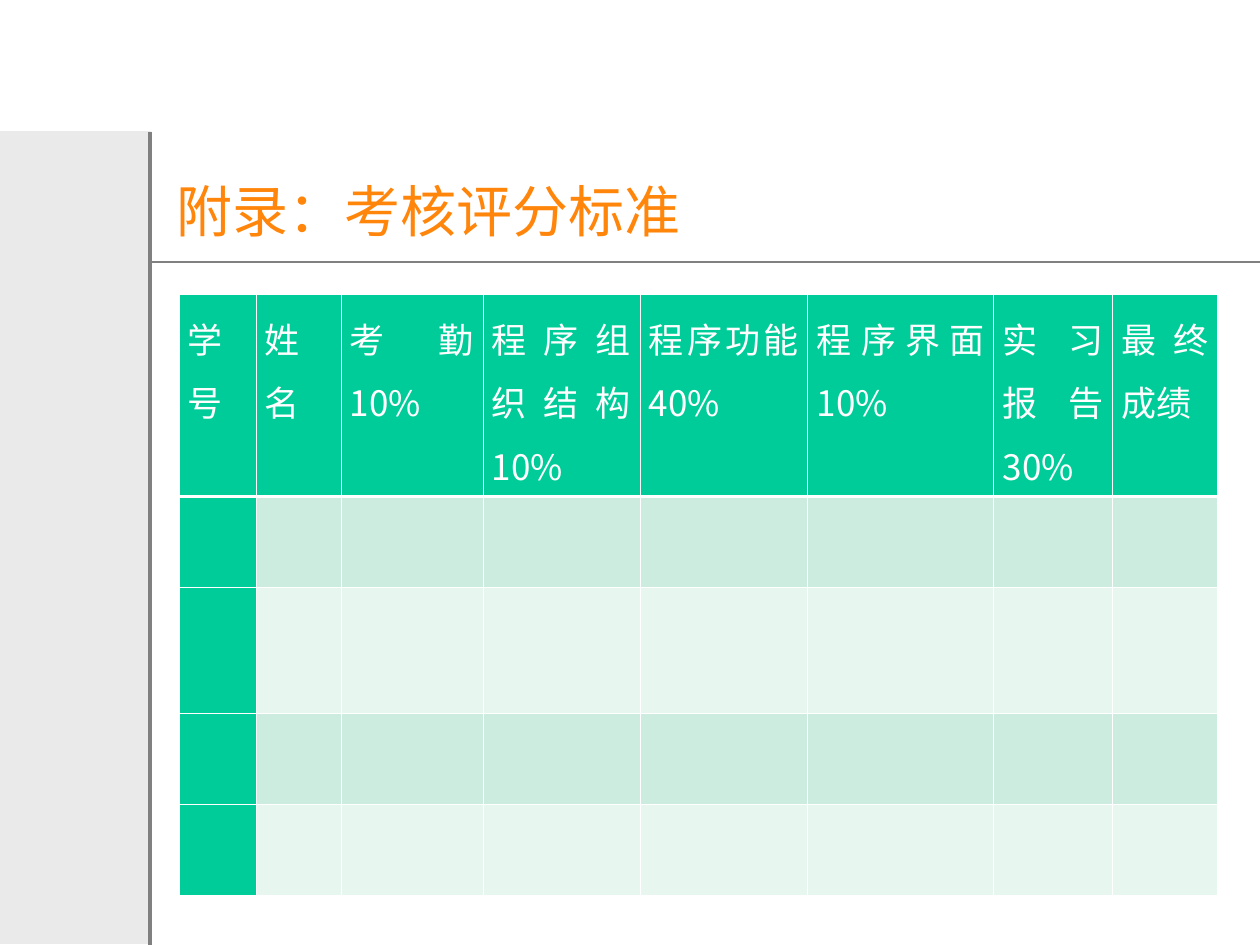
import pptx
import pptx.dml.color
import pptx.enum.shapes
import pptx.enum.text
import pptx.oxml.ns
import pptx.util
from lxml import etree

RGBColor = pptx.dml.color.RGBColor
WHITE = RGBColor(0xFF, 0xFF, 0xFF)
PANEL_GRAY = RGBColor(0xEA, 0xEA, 0xEA)
RULE_GRAY = RGBColor(0x80, 0x80, 0x80)
ORANGE = RGBColor(0xFF, 0x85, 0x0B)
GREEN = RGBColor(0x00, 0xCC, 0x99)
BAND_DARK = RGBColor(0xCB, 0xEC, 0xDE)
BAND_LIGHT = RGBColor(0xE7, 0xF6, 0xEF)

PX_PER_INCH = 126
TITLE_FONT = "Noto Sans CJK KR"
TABLE_FONT = "Noto Sans CJK SC"
HEADINGS = ["学号", "姓名", "考勤10%", "程序组织结构10%", "程序功能40%",
            "程序界面10%", "实习报告30%", "最终成绩"]
COLUMN_WIDTHS = [77, 85, 142, 157, 168, 186, 119, 105]
ROW_HEIGHTS = [181, 91, 126, 91, 91]
THIN, THICK = 0.45, 1.47


def px(length):
    return pptx.util.Emu(round(length * 914400 / PX_PER_INCH))


def add_run(paragraph, text, size, typeface, color):
    run = paragraph.add_run()
    run.text = text
    run.font.size = pptx.util.Pt(size)
    run.font.name = typeface
    run.font.color.rgb = color
    east_asian = etree.SubElement(run.font._element, pptx.oxml.ns.qn("a:ea"))
    east_asian.set("typeface", typeface)


def add_rule(slide, start_x, start_y, end_x, end_y, weight):
    rule = slide.shapes.add_connector(
        pptx.enum.shapes.MSO_CONNECTOR.STRAIGHT,
        px(start_x), px(start_y), px(end_x), px(end_y))
    rule.line.color.rgb = RULE_GRAY
    rule.line.width = pptx.util.Pt(weight)
    etree.SubElement(rule._element.spPr, pptx.oxml.ns.qn("a:effectLst"))


def add_frame(slide, left, top, width, height):
    panel_width, header_height = 150, 130
    panel = slide.shapes.add_shape(
        pptx.enum.shapes.MSO_SHAPE.RECTANGLE,
        px(left), px(top), px(panel_width + 1), px(height))
    panel.shadow.inherit = False
    panel.fill.solid()
    panel.fill.fore_color.rgb = PANEL_GRAY
    panel.line.fill.background()
    edge = left + panel_width
    divider = top + header_height + 1
    add_rule(slide, edge, top + 1, edge, top + height + 1, 2.25)
    add_rule(slide, edge, divider, left + width, divider, 1.5)


def place_title(slide, left, top, width, height):
    title = slide.shapes.title
    title.left, title.top = px(left), px(top)
    title.width, title.height = px(width), px(height)
    title.text_frame.vertical_anchor = pptx.enum.text.MSO_ANCHOR.MIDDLE
    paragraph = title.text_frame.paragraphs[0]
    paragraph.alignment = pptx.enum.text.PP_ALIGN.LEFT
    add_run(paragraph, "附录：考核评分标准", 32, TITLE_FONT, ORANGE)


def set_borders(cell, top_weight, bottom_weight):
    properties = cell._tc.get_or_add_tcPr()
    weights = {"lnL": THIN, "lnR": THIN, "lnT": top_weight, "lnB": bottom_weight}
    for side, weight in weights.items():
        line = etree.SubElement(properties, pptx.oxml.ns.qn("a:" + side))
        line.set("w", str(pptx.util.Pt(weight)))
        fill = etree.SubElement(line, pptx.oxml.ns.qn("a:solidFill"))
        color = etree.SubElement(fill, pptx.oxml.ns.qn("a:srgbClr"))
        color.set("val", str(WHITE))


def cell_color(row, column):
    if row == 0 or column == 0:
        return GREEN
    return BAND_DARK if row % 2 else BAND_LIGHT


def add_score_table(slide, left, top):
    table = slide.shapes.add_table(
        len(ROW_HEIGHTS), len(COLUMN_WIDTHS), px(left), px(top),
        px(sum(COLUMN_WIDTHS)), px(sum(ROW_HEIGHTS))).table
    for column, width in zip(table.columns, COLUMN_WIDTHS):
        column.width = px(width)
    for row, height in zip(table.rows, ROW_HEIGHTS):
        row.height = px(height)
    for row in range(len(ROW_HEIGHTS)):
        for column in range(len(COLUMN_WIDTHS)):
            cell = table.cell(row, column)
            set_borders(cell, THICK if row == 1 else THIN,
                        THICK if row == 0 else THIN)
            cell.fill.solid()
            cell.fill.fore_color.rgb = cell_color(row, column)
            cell.margin_left = cell.margin_right = px(9)
            cell.margin_top = cell.margin_bottom = px(6)
    for column, heading in enumerate(HEADINGS):
        paragraph = table.cell(0, column).text_frame.paragraphs[0]
        paragraph.alignment = pptx.enum.text.PP_ALIGN.JUSTIFY
        paragraph.line_spacing = 1.25
        add_run(paragraph, heading, 20, TABLE_FONT, WHITE)


def main():
    presentation = pptx.Presentation()
    presentation.slide_width = px(1260)
    presentation.slide_height = px(945)
    slide = presentation.slides.add_slide(presentation.slide_layouts[5])
    slide.background.fill.solid()
    slide.background.fill.fore_color.rgb = WHITE
    add_frame(slide, 0, 131, 1262, 813)
    place_title(slide, 164, 147, 999, 126)
    add_score_table(slide, 179, 294)
    presentation.save("out.pptx")


if __name__ == "__main__":
    main()
